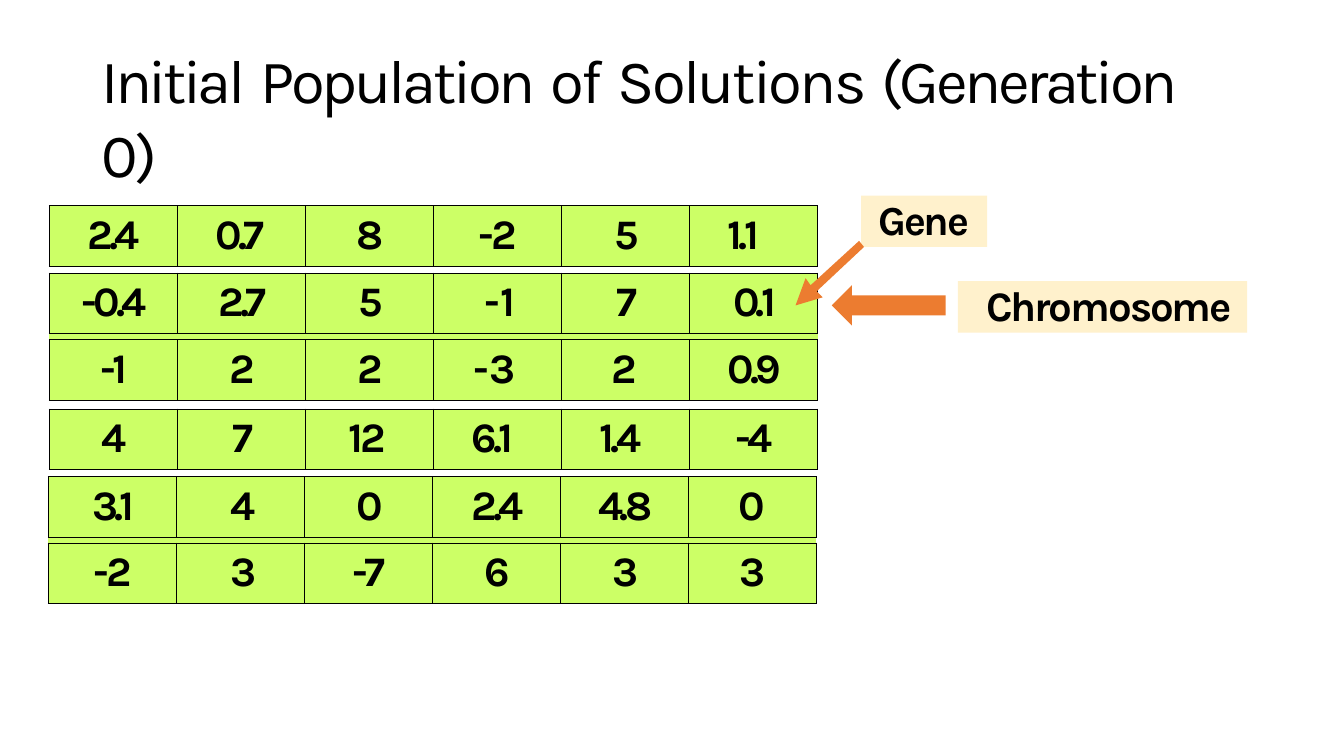
from lxml import etree
from pptx import Presentation
from pptx.dml.color import RGBColor
from pptx.enum import shapes, text
from pptx.oxml import ns
from pptx.util import Inches, Pt

FONT = "Karla"
BLACK, GREEN, CREAM, ORANGE = "000000", "CCFF66", "FFF1CC", "EC7C30"

# word, letter spacing; the spaces between words keep their full width
TITLE = [("Initial", -2.6), (" ", 0), ("Population", -2.3), (" ", 0), ("of", -1.9),
         (" ", 0), ("Solutions", -1.9), (" ", 0), ("(Generation", -2.5), (" ", 0),
         ("0)", -1.9)]

# left, top, chromosomes; two chromosomes have a thin spacer row between them
POPULATION = [
    (0.49, 2.04, [["2.4", "0.7", "8", "-2", "5", "1.1"]]),
    (0.49, 2.71, [["-0.4", "2.7", "5", "-1", "7", "0.1"],
                  ["-1", "2", "2", "-3", "2", "0.9"]]),
    (0.49, 4.06, [["4", "7", "12", "6.1", "1.4", "-4"]]),
    (0.48, 4.73, [["3.1", "4", "0", "2.4", "4.8", "0"],
                  ["-2", "3", "-7", "6", "3", "3"]]),
]
# (table, column): indent of left-aligned genes, margin of right-aligned ones
LEFT_INDENT = {(0, 0): 0.38, (0, 1): 0.38, (0, 5): 0.38, (2, 2): 0.43,
               (2, 3): 0.38, (2, 4): 0.38, (3, 1): 0.54}
RIGHT_MARGIN = {(1, 3): 0.46, (1, 4): 0.52, (3, 5): 0.51}
GENE_WIDTH, GENE_HEIGHT, SPACER_HEIGHT = 1.27, 0.6, 0.06

# text, left, top, width, height, indent, size, line height
LABELS = [("Chromosome", 9.5, 2.79, 2.87, 0.51, 0.28, 30, 34.7),
          ("Gene", 8.54, 1.94, 1.25, 0.51, 0.17, 29.5, 34.4)]
CHROMOSOME_ARROW = (8.25, 2.83, 1.13, 0.4)
GENE_ARROW = [(7.89, 3.03), (7.99, 2.76), (8.04, 2.83), (8.52, 2.39),
              (8.57, 2.45), (8.1, 2.89), (8.16, 2.95)]


def color(hex_code):
    return RGBColor.from_string(hex_code)


def paint(shape, hex_code):
    shape.fill.solid()
    shape.fill.fore_color.rgb = color(hex_code)
    shape.line.fill.background()
    shape.shadow.inherit = False


def style_run(run, size, spacing, bold=True):
    """Set the font and the letter spacing in points."""
    run.font.name = FONT
    run.font.size = Pt(size)
    run.font.bold = bold
    run.font.color.rgb = color(BLACK)
    run.font._element.set("spc", str(round(spacing * 100)))


def indent(paragraph, inches):
    paragraph._p.get_or_add_pPr().set("marL", str(Inches(inches)))


def clear_margins(frame):
    frame.margin_left = frame.margin_right = 0
    frame.margin_top = frame.margin_bottom = 0


def add_borders(cell, sides):
    """Draw thin black borders on the given sides and none on the others."""
    props = cell._tc.get_or_add_tcPr()
    for side in "LRTB":
        line = etree.SubElement(props, ns.qn(f"a:ln{side}"), w=str(Pt(1)))
        if side in sides:
            fill = etree.SubElement(line, ns.qn("a:solidFill"))
            etree.SubElement(fill, ns.qn("a:srgbClr"), val=BLACK)
        else:
            etree.SubElement(line, ns.qn("a:noFill"))


def gene_spacing(gene):
    if len(gene) == 1:
        return 0
    if "." in gene:
        return -2.5 if gene.startswith("-") else -2.7
    return -2.2 if gene.startswith("-") else -2.5


def fill_gene(cell, gene, place):
    cell.margin_top = Inches(0.05)
    paragraph = cell.text_frame.paragraphs[0]
    paragraph.text = gene
    spacing = gene_spacing(gene)
    if place in LEFT_INDENT:
        paragraph.alignment = text.PP_ALIGN.LEFT
        indent(paragraph, LEFT_INDENT[place])
    elif place in RIGHT_MARGIN:
        paragraph.alignment = text.PP_ALIGN.RIGHT
        cell.margin_right = Inches(RIGHT_MARGIN[place])
        spacing = -0.2 if gene.startswith("-") else 0
    else:
        paragraph.alignment = text.PP_ALIGN.CENTER
        indent(paragraph, 0.01 if gene.startswith("-") else 0.02)
    style_run(paragraph.runs[0], 30, spacing)


def add_chromosomes(slide, number, left, top, chromosomes):
    rows = 2 * len(chromosomes) - 1
    columns = len(chromosomes[0])
    heights = [SPACER_HEIGHT if row % 2 else GENE_HEIGHT for row in range(rows)]
    table = slide.shapes.add_table(
        rows, columns, Inches(left), Inches(top),
        Inches(GENE_WIDTH * columns), Inches(sum(heights))).table
    table.first_row = table.horz_banding = False
    for column in table.columns:
        column.width = Inches(GENE_WIDTH)
    for row, height in enumerate(heights):
        table.rows[row].height = Inches(height)
        for column in range(columns):
            cell = table.cell(row, column)
            clear_margins(cell)
            add_borders(cell, "TB" if row % 2 else "LRTB")
            cell.fill.solid()
            cell.fill.fore_color.rgb = color(GREEN)
            if row % 2:
                spacer = cell.text_frame.paragraphs[0]
                spacer._p.get_or_add_endParaRPr().set("sz", "100")
            else:
                fill_gene(cell, chromosomes[row // 2][column], (number, column))


def add_title(slide):
    frame = slide.shapes.add_textbox(
        Inches(1), Inches(0.4), Inches(10.71), Inches(0.76)).text_frame
    frame.word_wrap = True
    clear_margins(frame)
    frame.margin_top = Inches(0.02)
    indent(frame.paragraphs[0], 0.01)
    for words, spacing in TITLE:
        run = frame.paragraphs[0].add_run()
        run.text = words
        style_run(run, 44, spacing, bold=False)


def add_label(slide, words, left, top, width, height, offset, size, line_height):
    label = slide.shapes.add_shape(
        shapes.MSO_SHAPE.RECTANGLE, *map(Inches, (left, top, width, height)))
    paint(label, CREAM)
    frame = label.text_frame
    clear_margins(frame)
    frame.word_wrap = True
    frame.vertical_anchor = text.MSO_ANCHOR.TOP
    paragraph = frame.paragraphs[0]
    paragraph.text = words
    paragraph.alignment = text.PP_ALIGN.LEFT
    paragraph.line_spacing = Pt(line_height)
    indent(paragraph, offset)
    style_run(paragraph.runs[0], size, -1.5)


def main():
    deck = Presentation()
    deck.slide_width, deck.slide_height = Inches(13.33), Inches(7.5)
    slide = deck.slides.add_slide(deck.slide_layouts[6])

    for number, group in enumerate(POPULATION):
        add_chromosomes(slide, number, *group)
    add_title(slide)
    for label in LABELS:
        add_label(slide, *label)

    chromosome_arrow = slide.shapes.add_shape(
        shapes.MSO_SHAPE.LEFT_ARROW, *map(Inches, CHROMOSOME_ARROW))
    paint(chromosome_arrow, ORANGE)
    tip, *corners = [(Inches(x), Inches(y)) for x, y in GENE_ARROW]
    outline = slide.shapes.build_freeform(*tip)
    outline.add_line_segments(corners, close=True)
    paint(outline.convert_to_shape(), ORANGE)

    deck.save("out.pptx")


if __name__ == "__main__":
    main()
